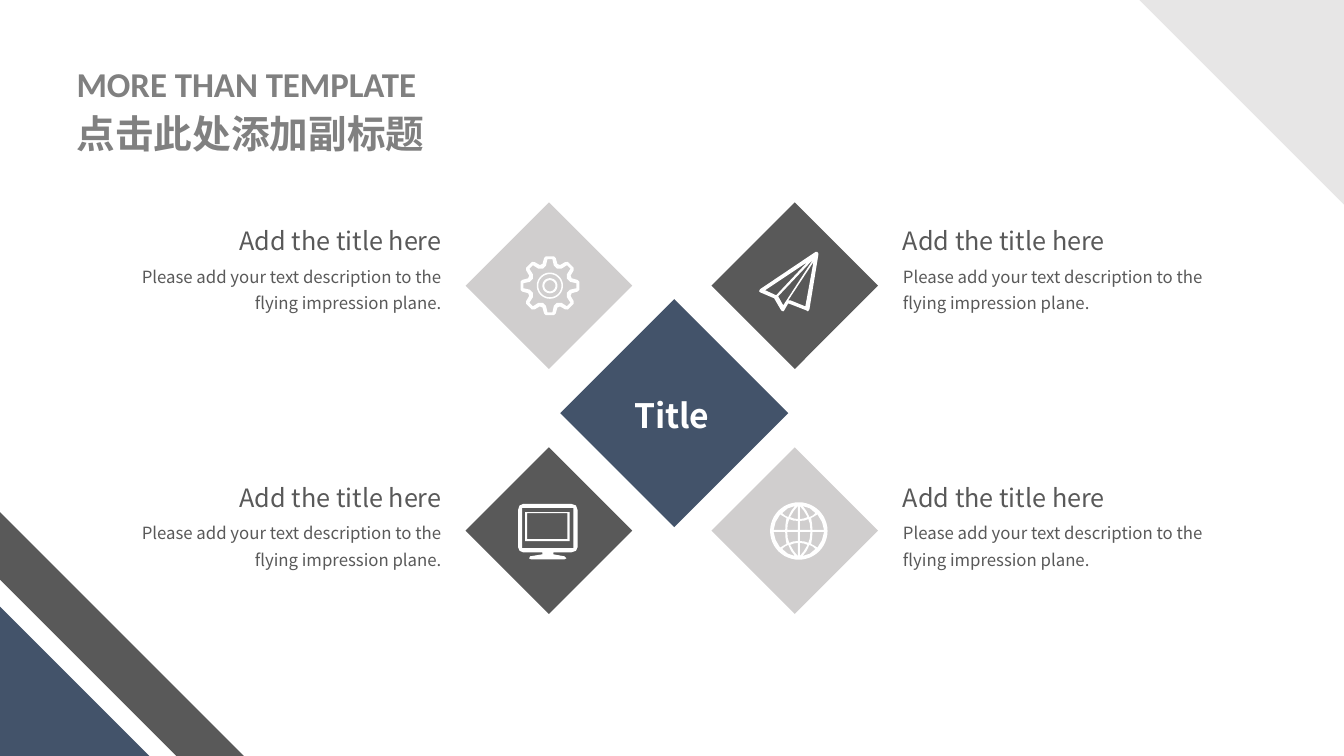
import math

import pptx
import pptx.dml.color
import pptx.enum.shapes
import pptx.enum.text
import pptx.oxml.ns
import pptx.util
from lxml import etree

Pt = pptx.util.Pt
SHAPE = pptx.enum.shapes.MSO_SHAPE
ALIGN = pptx.enum.text.PP_ALIGN
AUTO = pptx.enum.text.MSO_AUTO_SIZE
MIDDLE = pptx.enum.text.MSO_ANCHOR.MIDDLE
COLORS = {"dark": "595959", "light": "D0CECE", "navy": "43536A",
          "corner": "E7E6E6", "heading": "808080", "white": "FFFFFF"}
CJK = "Noto Sans CJK SC"
UNIT = Pt(0.072)  # outlines are drawn in thousandths of an inch
DIAMOND = 84.2


def rgb(name):
    return pptx.dml.color.RGBColor.from_string(COLORS[name])


def apply(obj, values):
    for name, value in values.items():
        setattr(obj, name, value)


def paint(sp, color):
    sp.shadow.inherit = False
    sp.fill.solid()
    sp.fill.fore_color.rgb = rgb(color)
    sp.line.fill.background()
    return sp


def add_preset(slide, kind, box, color, rotation=0):
    sp = paint(slide.shapes.add_shape(kind, *map(Pt, box)), color)
    sp.rotation = rotation
    return sp


def add_outline(slide, x, y, contours, color):
    """Fill closed contours; a contour inside another cuts a hole."""
    builder = slide.shapes.build_freeform(*contours[0][0], scale=UNIT)
    for i, points in enumerate(contours):
        if i:
            builder.move_to(*points[0])
        builder.add_line_segments(points[1:], close=True)
    return paint(builder.convert_to_shape(Pt(x), Pt(y)), color)


def write(p, text, color, font, align=ALIGN.LEFT, spacing=1.0):
    apply(p, {"alignment": align, "line_spacing": spacing})
    r = p.add_run()
    r.text = text
    apply(r.font, font)
    r.font.color.rgb = rgb(color)
    ea = etree.SubElement(r._r.get_or_add_rPr(), pptx.oxml.ns.qn("a:ea"))
    ea.set("typeface", font["name"])


def add_text(slide, box, text, color, font, align, spacing=1.0, wrap=True):
    tf = slide.shapes.add_textbox(*map(Pt, box)).text_frame
    tf.word_wrap = wrap
    write(tf.paragraphs[0], text, color, font, align, spacing)


# Icon outlines
def polar(radius, degrees):
    a = math.radians(degrees)
    return radius * math.sin(a), -radius * math.cos(a)


def circle(radius):
    return [polar(radius, 7.5 * i) for i in range(48)]


def rect(x1, y1, x2, y2):
    return [(x1, y1), (x2, y1), (x2, y2), (x1, y2)]


def gear():
    rim = [(228, -19), (280, -12), (295, -8), (295, 8), (280, 12), (228, 19)]
    hole = [(204, -11), (265, -5.5), (265, 5.5), (204, 11), (183, 22.5)]
    wheel = [[polar(r, a + 45 * tooth) for tooth in range(8) for r, a in part]
             for part in (rim, hole)]
    return [wheel, [circle(130), circle(115)], [circle(75), circle(55)]]


def globe():
    cells = [
        [(10, 10), (115, 10), (110, 70), (95, 118), (55, 104), (10, 100)],
        [(135, 10), (250, 10), (230, 90), (185, 165), (155, 146), (122, 128), (132, 70)],
        [(10, 118), (50, 124), (87, 138), (50, 200), (10, 248)],
        [(105, 138), (140, 155), (165, 178), (110, 225), (38, 248), (75, 200)],
    ]
    return [[circle(285)] + [[(sx * x, sy * y) for x, y in cell]
                             for sx in (1, -1) for sy in (1, -1) for cell in cells]]


def plane():
    edge = [(580, 0), (560, 0), (10, 370), (0, 390), (10, 400), (150, 460),
            (220, 580), (240, 590), (250, 580), (290, 510), (470, 580),
            (485, 590), (500, 570), (590, 20)]
    return [[edge,
             [(460, 540), (310, 480), (290, 480), (540, 100)],
             [(190, 440), (540, 70), (240, 530)],
             [(60, 380), (480, 100), (170, 430)]]]


def monitor():
    case = [(50, 0), (530, 0), (575, 15), (590, 60), (590, 430), (575, 465),
            (530, 480), (350, 480), (350, 500), (460, 520), (480, 540),
            (460, 550), (130, 550), (110, 540), (120, 520), (240, 500),
            (240, 480), (50, 480), (15, 465), (0, 430), (0, 60), (15, 15)]
    return [[rect(70, 80, 510, 370), rect(90, 90, 490, 350)],
            [case, rect(40, 40, 550, 440)]]


# Regions
def add_diamond(slide, x, y, color, icon, dx, dy):
    add_preset(slide, SHAPE.RECTANGLE, (x, y, DIAMOND, DIAMOND), color, 45)
    for contours in icon():
        add_outline(slide, x + dx, y + dy, contours, "white")


def add_caption(slide, x, y, width, align):
    title_x = x + width - 180 if align == ALIGN.RIGHT else x
    add_text(slide, (title_x, y, 180, 29), "Add the title here", "dark",
             {"name": CJK, "size": Pt(18)}, align)
    add_text(slide, (x, y + 25.2, width, 45.4),
             "Please add your text description to the flying impression plane.",
             "dark", {"name": CJK, "size": Pt(12)}, align, 1.3)


def add_hub(slide, x, y, size):
    add_preset(slide, SHAPE.RECTANGLE, (x, y, size, size), "navy", 45)
    add_text(slide, (x + 21.6, y + 41, 68.4, 36), "Title", "white",
             {"name": CJK, "size": Pt(24), "bold": True}, ALIGN.CENTER, wrap=False)


def add_corners(slide, width, height):
    band = [(0, 0), (0, 670), (1750, 2420), (2420, 2420)]
    add_outline(slide, 0, height - 174.24, [band], "dark")
    add_preset(slide, SHAPE.RIGHT_TRIANGLE, (width - 146.2, 0, 146.2, 146.2), "corner", 180)
    add_preset(slide, SHAPE.RIGHT_TRIANGLE, (0, height - 106.6, 106.6, 106.6), "navy")


def add_heading(slide, x, y, width, height):
    sp = slide.shapes.title
    apply(sp, {"left": Pt(x), "top": Pt(y), "width": Pt(width), "height": Pt(height)})
    tf = sp.text_frame
    apply(tf, {"word_wrap": True, "auto_size": AUTO.NONE, "vertical_anchor": MIDDLE})
    write(tf.paragraphs[0], "MORE THAN TEMPLATE", "heading",
          {"name": "Calibri", "size": Pt(24.9), "bold": True}, spacing=1.1)
    write(tf.add_paragraph(), "点击此处添加副标题", "heading",
          {"name": CJK, "size": Pt(27.6), "bold": True}, spacing=1.1)


def main():
    prs = pptx.Presentation()
    prs.slide_width, prs.slide_height = Pt(960), Pt(540)
    slide = prs.slides.add_slide(prs.slide_layouts[5])
    add_heading(slide, 47.5, 38.2, 317.5, 77)

    # Four diamonds with captions: (column, row, colour, icon, icon offset)
    columns = [(350, 77, ALIGN.RIGHT), (525.6, 637.9, ALIGN.LEFT)]
    rows = [(162, 157.7), (337, 340.6)]
    cards = [(1, 0, "dark", plane, 16.6, 18), (1, 1, "light", globe, 45, 42.3),
             (0, 0, "light", gear, 42.8, 42.1), (0, 1, "dark", monitor, 20.1, 23)]
    for col, row, color, icon, dx, dy in cards:
        x, caption_x, align = columns[col]
        y, caption_y = rows[row]
        add_diamond(slide, x, y, color, icon, dx, dy)
        add_caption(slide, caption_x, caption_y, 245.5, align)

    add_hub(slide, 424, 237.6, 115.2)
    add_corners(slide, 960, 540)
    prs.save("out.pptx")


if __name__ == "__main__":
    main()
